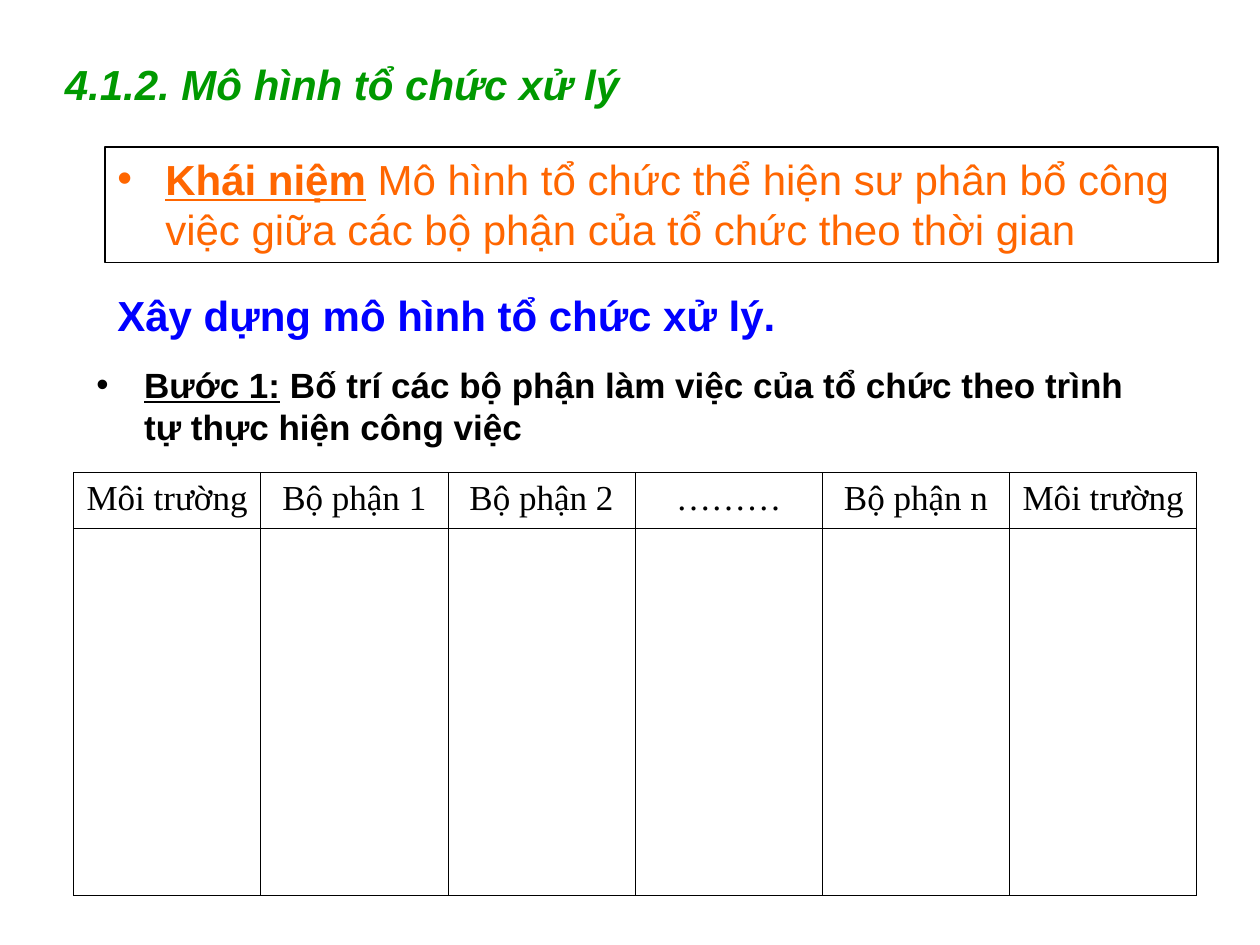
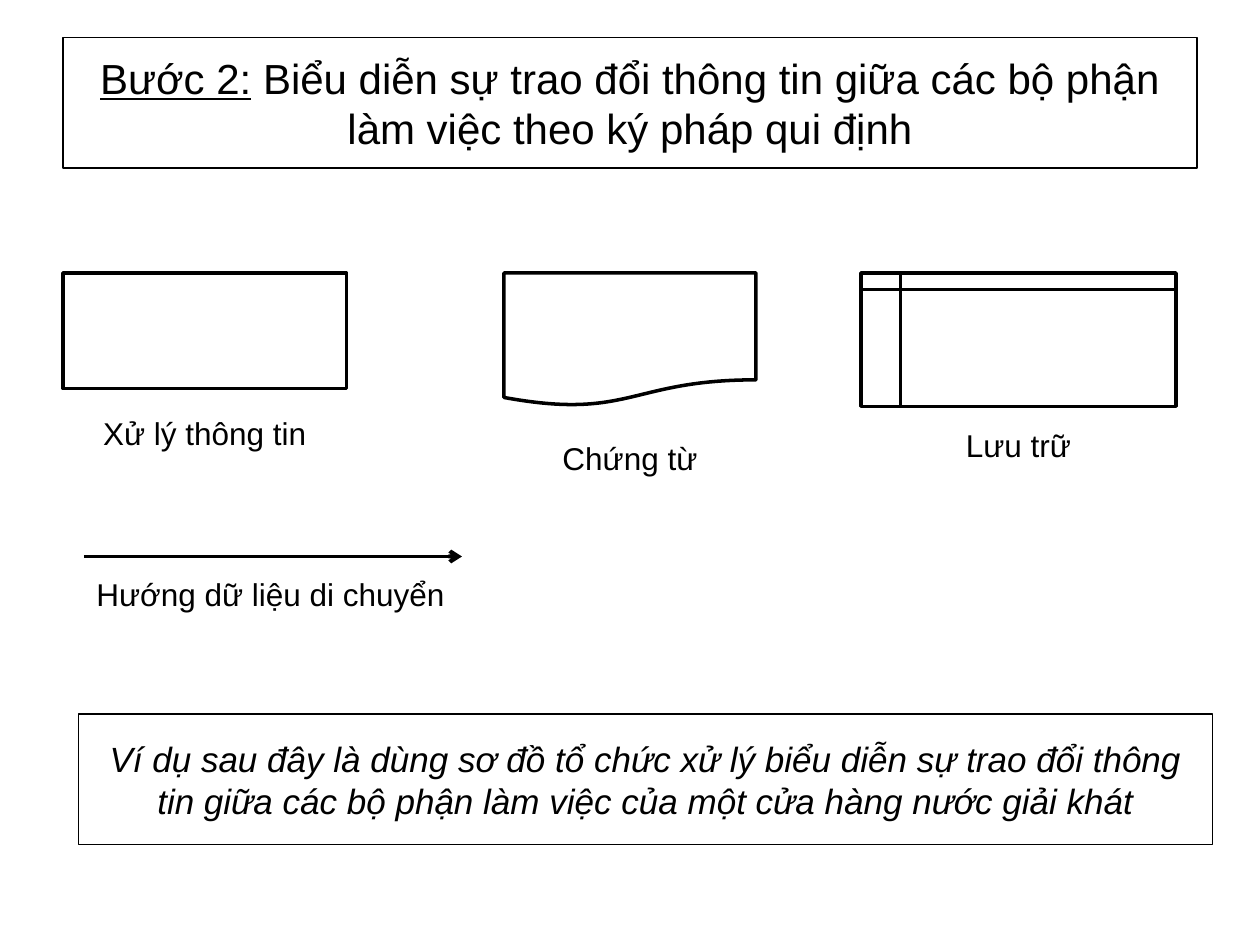
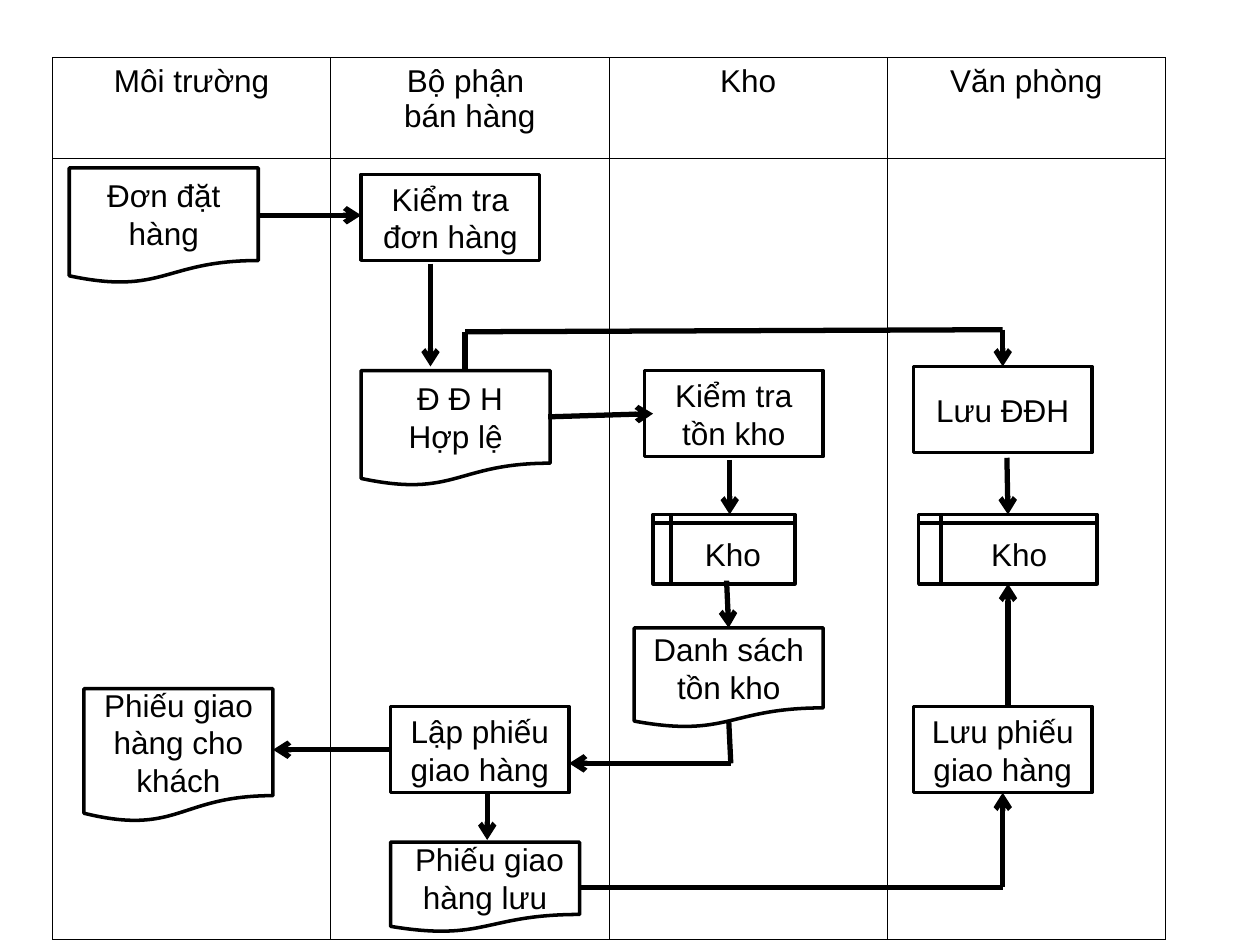
from dataclasses import dataclass
from itertools import pairwise

from pptx import Presentation
from pptx.dml.color import RGBColor
from pptx.enum.shapes import MSO_CONNECTOR, MSO_SHAPE
from pptx.enum.text import MSO_ANCHOR, PP_ALIGN
from pptx.oxml.ns import qn
from pptx.oxml.xmlchemy import OxmlElement
from pptx.util import Inches, Pt

BLACK = RGBColor(0x00, 0x00, 0x00)
WHITE = RGBColor(0xFF, 0xFF, 0xFF)
GREEN = RGBColor(0x00, 0x99, 0x00)
ORANGE = RGBColor(0xFF, 0x66, 0x00)
BLUE = RGBColor(0x00, 0x00, 0xFF)

COLUMNS, ROWS = 120, 90
SLIDE_WIDTH, SLIDE_HEIGHT = Inches(10), Inches(7.5)
HANGING = Inches(0.38)
FRAME_LINE, SYMBOL_LINE, GRID_LINE = 0.75, 2, 0.45

PROCESS = MSO_SHAPE.RECTANGLE
DOCUMENT = MSO_SHAPE.FLOWCHART_DOCUMENT
STORAGE = MSO_SHAPE.FLOWCHART_INTERNAL_STORAGE


@dataclass
class Box:
    left: float
    top: float
    width: float
    height: float

    def inner(self, left, top, width, height):
        return Box(self.left + left, self.top + top, width, height)

    def point(self, column, row):
        return across(self.left + column), down(self.top + row)

    def place(self):
        return *self.point(0, 0), across(self.width), down(self.height)


@dataclass
class Style:
    size: int
    color: RGBColor = BLACK
    bold: bool = False
    italic: bool = False
    font: str = "Arial"
    align: PP_ALIGN = PP_ALIGN.CENTER
    lead_bold: bool = False
    bullet: bool = False


LEFT = PP_ALIGN.LEFT
TITLE = Style(24, GREEN, bold=True, italic=True, align=LEFT)
CONCEPT = Style(24, ORANGE, align=LEFT, lead_bold=True, bullet=True)
HEADING = Style(24, BLUE, bold=True, align=LEFT)
STEP = Style(20, bold=True, align=LEFT, lead_bold=True, bullet=True)
INSTRUCTION = Style(24)
EXAMPLE = Style(20, italic=True)
LABEL = Style(18)
LEFT_LABEL = Style(18, align=LEFT)
SERIF_HEAD = Style(20, font="Times New Roman")


def across(columns):
    return round(SLIDE_WIDTH * columns / COLUMNS)


def down(rows):
    return round(SLIDE_HEIGHT * rows / ROWS)


def add_child(parent, tag, **attributes):
    child = OxmlElement(tag)
    for name, value in attributes.items():
        child.set(name, str(value))
    parent.append(child)
    return child


def add_color(parent, color):
    fill = add_child(parent, "a:solidFill")
    add_child(fill, "a:srgbClr", val=color)


def add_bullet(para, color):
    properties = para._p.get_or_add_pPr()
    properties.set("marL", str(HANGING))
    properties.set("indent", str(-HANGING))
    add_child(add_child(properties, "a:buClr"), "a:srgbClr", val=color)
    add_child(properties, "a:buFont", typeface="Arial")
    add_child(properties, "a:buChar", char="•")


def write(frame, text, style, lead=""):
    for index, line in enumerate(text.split("\n")):
        para = frame.add_paragraph() if index else frame.paragraphs[0]
        para.alignment = style.align
        if style.bullet:
            add_bullet(para, style.color)
        para.font.name = style.font
        para.font.size = Pt(style.size)
        para.font.color.rgb = style.color
        para.font.bold = style.bold
        para.font.italic = style.italic
        if lead and not index:
            span = para.add_run()
            span.text = lead
            span.font.underline = True
            span.font.bold = style.lead_bold
        para.add_run().text = line


def add_text(page, box, text, style, lead="", anchor=MSO_ANCHOR.TOP, wrap=True):
    frame = page.shapes.add_textbox(*box.place()).text_frame
    frame.word_wrap = wrap
    frame.vertical_anchor = anchor
    write(frame, text, style, lead)


def add_outline(page, kind, box, line_width):
    shape = page.shapes.add_shape(kind, *box.place())
    shape.shadow.inherit = False
    shape.line.color.rgb = BLACK
    shape.line.width = Pt(line_width)
    return shape


def add_frame(page, box, text, style, lead="", anchor=MSO_ANCHOR.MIDDLE):
    shape = add_outline(page, PROCESS, box, FRAME_LINE)
    shape.fill.background()
    shape.text_frame.vertical_anchor = anchor
    write(shape.text_frame, text, style, lead)


def add_symbol(page, kind, box, text=""):
    shape = add_outline(page, kind, box, SYMBOL_LINE)
    shape.fill.solid()
    shape.fill.fore_color.rgb = WHITE
    if text:
        shape.text_frame.vertical_anchor = MSO_ANCHOR.MIDDLE
        write(shape.text_frame, text, LABEL)


def add_route(page, box, points, line_width):
    for start, end in pairwise(points):
        connector = page.shapes.add_connector(
            MSO_CONNECTOR.STRAIGHT, *box.point(*start), *box.point(*end))
        connector.line.color.rgb = BLACK
        connector.line.width = Pt(line_width)
        properties = connector._element.spPr
        if end == points[-1]:
            add_child(properties.find(qn("a:ln")), "a:tailEnd", type="arrow")
        add_child(properties, "a:effectLst")


def add_lanes(page, box, heads, head_height, style):
    table = page.shapes.add_table(2, len(heads), *box.place()).table
    table.first_row = table.horz_banding = False
    table.rows[0].height = down(head_height)
    table.rows[1].height = down(box.height - head_height)
    for column, head in zip(table.columns, heads):
        column.width = across(box.width / len(heads))
    for cell in table.iter_cells():
        properties = cell._tc.get_or_add_tcPr()
        for side in ("a:lnL", "a:lnR", "a:lnT", "a:lnB"):
            add_color(add_child(properties, side, w=Pt(GRID_LINE)), BLACK)
        cell.fill.background()
    for index, head in enumerate(heads):
        write(table.cell(0, index).text_frame, head, style)


def build_concept(page, box):
    add_text(page, box.inner(5, 5, 55.2, 6), "4.1.2. Mô hình tổ chức xử lý",
             TITLE, wrap=False)
    add_frame(page, box.inner(10, 14, 106, 11),
              " Mô hình tổ chức thể hiện sư phân bổ công việc giữa các bộ phận "
              "của tổ chức theo thời gian",
              CONCEPT, "Khái niệm", MSO_ANCHOR.TOP)
    add_text(page, box.inner(10, 27, 103, 6), "Xây dựng mô hình tổ chức xử lý.",
             HEADING, anchor=MSO_ANCHOR.MIDDLE)
    add_text(page, box.inner(8, 34, 102, 9),
             " Bố trí các bộ phận làm việc của tổ chức theo trình tự thực hiện "
             "công việc", STEP, "Bước 1:")
    heads = ["Môi trường", "Bộ phận 1", "Bộ phận 2", "………", "Bộ phận n",
             "Môi trường"]
    add_lanes(page, box.inner(7, 45, 107, 40.3), heads, 5.3, SERIF_HEAD)


def build_labelled_symbol(page, box, kind, label, gap):
    add_symbol(page, kind, box)
    width = 24
    add_text(page, box.inner((box.width - width) / 2, box.height + gap, width, 4.8),
             label, LABEL)


def build_notation(page, box):
    add_frame(page, box.inner(6, 3.6, 108, 12.4),
              " Biểu diễn sự trao đổi thông tin giữa các bộ phận làm việc theo "
              "ký pháp qui định", INSTRUCTION, "Bước 2:")
    add_frame(page, box.inner(7.5, 68, 108, 12.4),
              "Ví dụ sau đây là dùng sơ đồ tổ chức xử lý biểu diễn sự trao đổi "
              "thông tin giữa các bộ phận làm việc của một cửa hàng nước giải khát",
              EXAMPLE)
    symbols = [
        (PROCESS, 6, 27, 11, "Xử lý thông tin", 1.8),
        (DOCUMENT, 48, 24, 12.7, "Chứng từ", 2.5),
        (STORAGE, 82, 30, 12.7, "Lưu trữ", 1.3),
    ]
    for kind, left, width, height, label, gap in symbols:
        build_labelled_symbol(page, box.inner(left, 26, width, height), kind,
                              label, gap)
    add_route(page, box, [(8, 53), (44, 53)], 2.25)
    add_text(page, box.inner(8, 54.2, 40, 4.8), "Hướng dữ liệu di chuyển",
             LEFT_LABEL)


MAIN_STEPS = [
    (DOCUMENT, 1.6, 10.5, 18, 11, "Đơn đặt hàng"),
    (PROCESS, 29.4, 11.1, 17, 8.2, "Kiểm tra đơn hàng"),
    (PROCESS, 56.4, 29.8, 17, 8.2, "Kiểm tra tồn kho"),
    (DOCUMENT, 29.4, 29.8, 18, 11, " Đ Đ H\nHợp lệ"),
    (PROCESS, 82, 29.4, 17, 8.2, "Lưu ĐĐH"),
    (STORAGE, 57.2, 43.5, 13.5, 6.6, "Kho"),
    (PROCESS, 32.2, 61.8, 17, 8.2, "Lập phiếu giao hàng"),
    (DOCUMENT, 3, 60.1, 18, 12.7, "Phiếu giao hàng cho khách"),
    (PROCESS, 82, 61.8, 17, 8.2, "Lưu phiếu giao hàng"),
]
MAIN_ROUTES = [
    [(36, 19.6), (36, 29.4)],
    [(19.7, 15), (29.4, 15)],
    [(64.5, 38.3), (64.5, 43.5)],
    [(47.2, 34.2), (57.2, 33.9)],
    [(39.3, 29.8), (39.3, 26.1), (90.5, 25.9), (90.5, 29.4)],
    [(64.2, 49.8), (64.4, 54.3)],
    [(64.4, 63), (64.6, 67.2), (49.2, 67.2)],
    [(41.4, 70), (41.4, 74.5)],
    [(50.2, 79), (90.5, 79), (90.5, 70)],
    [(32.2, 65.9), (21, 65.9)],
]
FILING_STEPS = [
    (DOCUMENT, 55.4, 54.3, 18, 9.5, "Danh sách tồn kho"),
    (DOCUMENT, 32.2, 74.7, 18, 8.6, " Phiếu giao hàng lưu"),
    (STORAGE, 82.5, 43.5, 17, 6.6, "Kho"),
]
FILING_ROUTES = [
    [(90.9, 38.1), (91, 43.5)],
    [(91, 61.8), (91, 50.1)],
]


def build_order_flow(page, box):
    heads = ["Môi trường", "Bộ phận \nbán hàng", "Kho", "Văn phòng"]
    add_lanes(page, box, heads, 9.6, LABEL)
    for steps, routes in ((MAIN_STEPS, MAIN_ROUTES), (FILING_STEPS, FILING_ROUTES)):
        for kind, left, top, width, height, text in steps:
            add_symbol(page, kind, box.inner(left, top, width, height), text)
        for points in routes:
            add_route(page, box, points, 3)


def main():
    deck = Presentation()
    deck.slide_width, deck.slide_height = SLIDE_WIDTH, SLIDE_HEIGHT
    whole = Box(0, 0, COLUMNS, ROWS)
    board = whole.inner(5, 5.5, 106, 84)
    for build, box in ((build_concept, whole), (build_notation, whole),
                       (build_order_flow, board)):
        build(deck.slides.add_slide(deck.slide_layouts[6]), box)
    deck.save("out.pptx")


if __name__ == "__main__":
    main()
